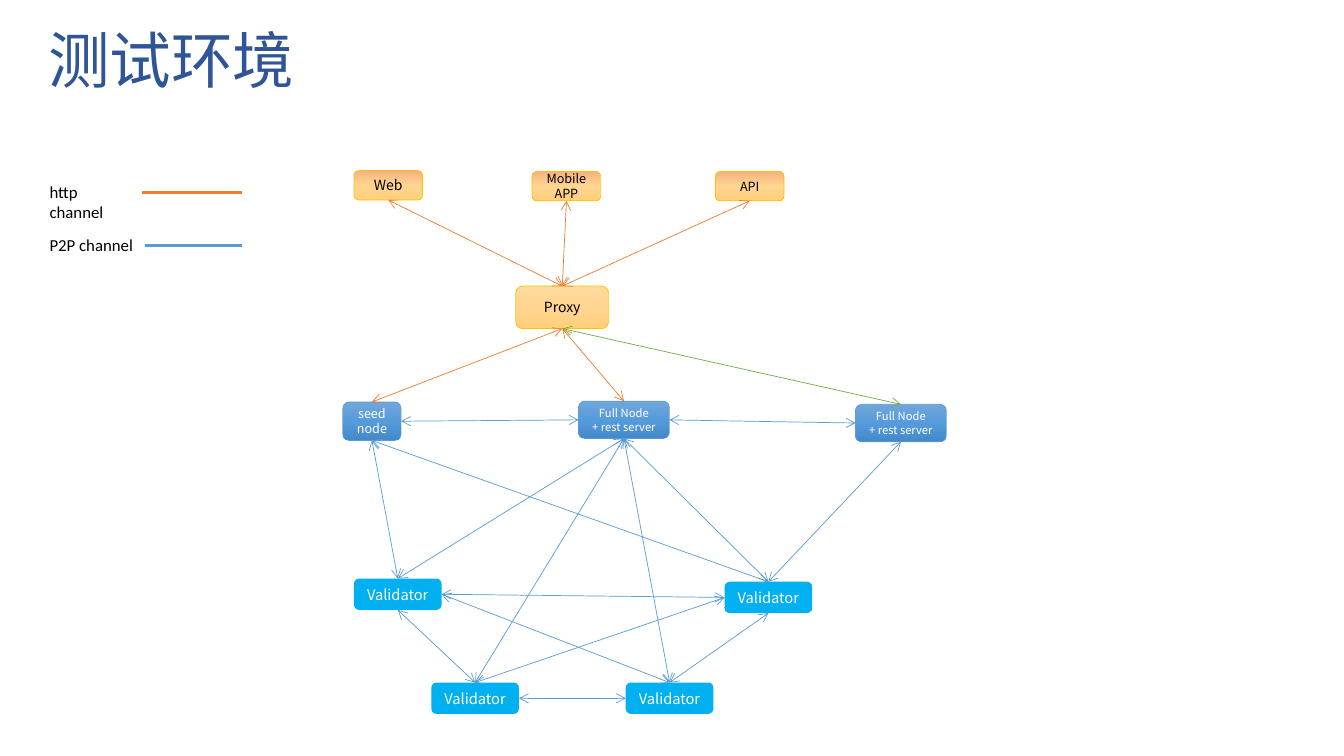
from copy import deepcopy

from lxml.etree import SubElement
from pptx import Presentation
from pptx.dml.color import RGBColor
from pptx.enum.shapes import MSO_CONNECTOR, MSO_SHAPE
from pptx.enum.text import MSO_ANCHOR, MSO_AUTO_SIZE, PP_ALIGN
from pptx.oxml.ns import qn
from pptx.util import Cm, Pt

HEX = {
    "title": "2F5597", "black": "000000", "white": "FFFFFF",
    "http": "ED7D31", "p2p": "5B9BD5", "green": "70AD47",
    "gold": "FFC000", "cyan": "00B0F0",
}
SANS, BODY = "Noto Sans CJK SC", "Calibri"
TOP, LEFT, BOTTOM, RIGHT = range(4)  # connection sites of a rounded box

# kind: width, height, fill stops, edge colour, text colour
KINDS = {
    "client": (1.73, 0.74, ("F4B183", "FFD590", "FFD07C"), "gold", "black"),
    "proxy": (2.34, 1.07, ("FFDB9E", "FFD590", "FFD07C"), "gold", "black"),
    "seed": (1.47, 0.97, ("71A6DB", "559BDB", "448ACA"), "p2p", "white"),
    "full": (2.29, 0.94, ("71A6DB", "559BDB", "448ACA"), "p2p", "white"),
    "valid": (2.21, 0.79, (HEX["cyan"],), None, "white"),
}
FULL = "Full Node\n+ rest server"
# name: kind, left, top, text, size
NODES = {
    "web": ("client", 0.32, 0, "Web", 10),
    "app": ("client", 4.81, 0.02, "Mobile APP", 9),
    "api": ("client", 9.43, 0.02, "API", 9),
    "proxy": ("proxy", 4.4, 2.91, "Proxy", 10),
    "seed": ("seed", 0.04, 5.83, "seed\nnode", 9),
    "full1": ("full", 5.98, 5.81, FULL, 8),
    "full2": ("full", 12.96, 5.89, FULL, 8),
    "val1": ("valid", 0.32, 10.28, "Validator", 10.5),
    "val2": ("valid", 2.27, 12.9, "Validator", 10.5),
    "val3": ("valid", 7.17, 12.9, "Validator", 10.5),
    "val4": ("valid", 9.66, 10.36, "Validator", 10.5),
}
# colour, site at start, site at end, pairs of nodes
LINKS = [
    ("http", TOP, BOTTOM, ["proxy web", "proxy app", "proxy api"]),
    ("http", BOTTOM, TOP, ["proxy seed", "proxy full1"]),
    ("green", BOTTOM, TOP, ["proxy full2"]),
    ("p2p", RIGHT, LEFT, ["seed full1", "full1 full2", "val1 val4", "val2 val3"]),
    ("p2p", BOTTOM, TOP, [
        "seed val1", "seed val4", "full1 val1", "full1 val2", "full1 val3",
        "full1 val4", "full2 val4", "val1 val2", "val4 val3"]),
    ("p2p", RIGHT, TOP, ["val1 val3"]),
    ("p2p", LEFT, TOP, ["val4 val2"]),
]


def put(item, form):
    """Set each attribute named in a dict of format values."""
    for key, val in form.items():
        setattr(item, key, val)


def rgb(name):
    """Look up a colour by name."""
    return RGBColor.from_string(HEX[name])


def style(frame, name, size, color, align=PP_ALIGN.LEFT):
    """Format all the text of a frame."""
    for para in frame.paragraphs:
        para.alignment = align
        for run in para.runs:
            put(run.font, {"name": name, "size": Pt(size)})
            run.font.color.rgb = rgb(color)


def shade(shape, stops):
    """Fill a shape plainly, or from top to bottom with even stops."""
    if len(stops) == 1:
        shape.fill.solid()
        shape.fill.fore_color.rgb = RGBColor.from_string(stops[0])
        return
    shape.fill.gradient()
    shape.fill.gradient_angle = 270
    group = shape._element.spPr.find(".//" + qn("a:gsLst"))
    while len(group) < len(stops):
        group.append(deepcopy(group[0]))
    for i, (stop, color) in enumerate(zip(shape.fill.gradient_stops, stops)):
        stop.position = i / (len(stops) - 1)
        stop.color.rgb = RGBColor.from_string(color)


def wire(slide, ends, color, width, arrows=False):
    """Draw a straight line, with open arrows at both ends if asked."""
    line = slide.shapes.add_connector(MSO_CONNECTOR.STRAIGHT, *map(Cm, ends))
    line.line.color.rgb = rgb(color)
    line.line.width = Pt(width)
    if arrows:
        for tag in ("a:headEnd", "a:tailEnd"):
            SubElement(line.line._get_or_add_ln(), qn(tag), type="arrow")
    SubElement(line._element.spPr, qn("a:effectLst"))
    return line


def node(slide, left, top, kind, text, size):
    """Draw one labelled box of the network."""
    width, height, stops, edge, ink = KINDS[kind]
    box = slide.shapes.add_shape(
        MSO_SHAPE.ROUNDED_RECTANGLE, Cm(left), Cm(top), Cm(width), Cm(height))
    box.shadow.inherit = False
    shade(box, stops)
    if edge:
        box.line.color.rgb = rgb(edge)
        box.line.width = Pt(0.5)
    else:
        box.line.fill.background()
    frame = box.text_frame
    put(frame, {"text": text, "word_wrap": True,
                "vertical_anchor": MSO_ANCHOR.MIDDLE})
    style(frame, SANS, size, ink, PP_ALIGN.CENTER)
    return box


def heading(slide, left, top, width, height):
    """Place the title."""
    title = slide.shapes.title
    put(title, {"left": Cm(left), "top": Cm(top),
                "width": Cm(width), "height": Cm(height)})
    frame = title.text_frame
    put(frame, {"text": "测试环境", "margin_left": Cm(0.5), "word_wrap": True,
                "auto_size": MSO_AUTO_SIZE.NONE,
                "vertical_anchor": MSO_ANCHOR.MIDDLE})
    style(frame, BODY, 44, "title")


def legend(slide, left, top, width):
    """List the channels, each with a sample line ending at the right."""
    rows = [("http channel", "http", 2.58), ("P2P channel", "p2p", 2.66)]
    for i, (text, color, start) in enumerate(rows):
        y = top + i * 1.33
        label = slide.shapes.add_textbox(Cm(left), Cm(y), Cm(2.66), Cm(0.77))
        put(label.text_frame, {"text": text, "word_wrap": False})
        style(label.text_frame, BODY, 12, "black")
        wire(slide, (left + start, y + 0.4, left + width, y + 0.4), color, 2.25)


def network(slide, left, top):
    """Draw the nodes and the links between them."""
    boxes = {name: node(slide, left + x, top + y, kind, text, size)
             for name, (kind, x, y, text, size) in NODES.items()}
    for color, out, into, pairs in LINKS:
        for pair in pairs:
            start, end = pair.split()
            line = wire(slide, (0, 0, 1, 1), color, 0.5, arrows=True)
            line.begin_connect(boxes[start], out)
            line.end_connect(boxes[end], into)


deck = Presentation()
put(deck, {"slide_width": Cm(33.87), "slide_height": Cm(19.05)})
page = deck.slides.add_slide(deck.slide_layouts[5])
heading(page, 0.71, 0.41, 13.84, 2.13)
legend(page, 1, 4.45, 5.1)
network(page, 8.6, 4.3)
deck.save("out.pptx")
